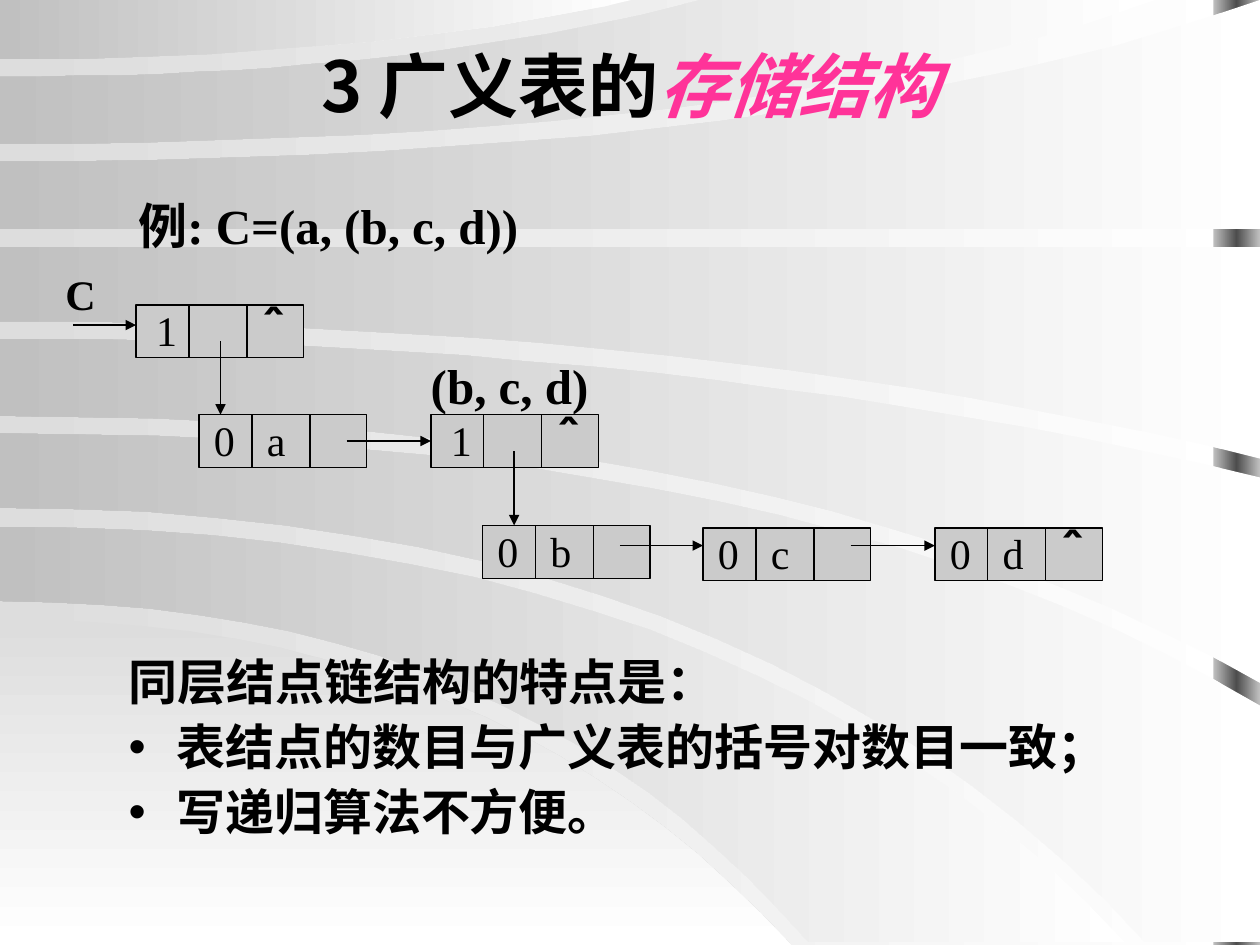
from copy import deepcopy

from lxml.etree import SubElement
from pptx import Presentation
from pptx.dml.color import RGBColor
from pptx.enum.shapes import MSO_CONNECTOR, MSO_SHAPE
from pptx.enum.text import MSO_ANCHOR, MSO_AUTO_SIZE, PP_ALIGN
from pptx.oxml.ns import qn
from pptx.util import Inches, Pt

SANS, SERIF = "Noto Sans CJK SC", "Times New Roman"
BLACK, PINK, NODE_GREY = "000000", "FF3399", "CBCBCB"
SILVER, PALE, WHITE, DARK = "C0C0C0", "DDDDDD", "FFFFFF", "4D4D4D"

TITLE = [("3 广义表的", BLACK, False), ("存储结构", PINK, True)]
BODY = ["同层结点链结构的特点是：", "表结点的数目与广义表的括号对数目一致；", "写递归算法不方便。"]
LABELS = [
    ("例: C=(a, (b, c, d))", 1, 1.5, 6.8, 28),
    ("C", 0.42, 2.08, 0.42, 24),
    ("(b, c, d)", 3.32, 2.77, 1.65, 28),
]
NODES = [
    ("1", "", True, 1.08, 2.42),
    ("0", "a", False, 1.58, 3.29),
    ("1", "", True, 3.42, 3.29),
    ("0", "b", False, 3.83, 4.17),
    ("0", "c", False, 5.58, 4.19),
    ("0", "d", True, 7.42, 4.19),
]
NODE_WIDTH, NODE_HEIGHT, DIVIDERS = 1.33, 0.42, (0.42, 0.88)
ARROWS = [
    (0.58, 2.58, 1.08, 2.58, None),
    (1.75, 2.71, 1.75, 3.29, None),
    (2.75, 3.5, 3.42, 3.5, 2),
    (4.08, 3.58, 4.08, 4.17, None),
    (4.92, 4.33, 5.58, 4.33, None),
    (6.75, 4.33, 7.42, 4.33, None),
]

CORNER = [(4.91, 3.93, 6.28, 7.5), (7.5, 3, 6.28, 7.5)]
BANDS = [
    [(4.18, 5.85, 8.93, 7.48), (4.77, 4.1, 6.42, 7.48)],
    [(3.44, 6.4, 10, 5.6), (4.03, 5.95, 9.09, 7.48)],
    [(2.69, 5.4, 10, 3.79), (3.3, 6.3, 10, 5.42)],
    [(1.96, 5, 10, 1.96), (2.55, 5.6, 10, 3.64)],
    [(1.28, 6.44, 10, 0), (1.82, 5, 10, 1.82)],
    [(0.61, 3.26, 5.56, 0), (1.14, 6.07, 9.17, 0)],
    [(0, 2.5, 5.01, 0), (0.47, 2.9, 5.01, 0)],
]
CURVE_STEPS = 20


def rgb(colour):
    return RGBColor.from_string(colour)


def set_gradient(fill, element, colours, angle=180):
    fill.gradient()
    fill.gradient_angle = angle
    stop_list = element.find(".//" + qn("a:gsLst"))
    while len(stop_list) < len(colours):
        stop_list.append(deepcopy(stop_list[0]))
    for index, (stop, colour) in enumerate(zip(fill.gradient_stops, colours)):
        stop.color.rgb = rgb(colour)
        stop.position = index / (len(colours) - 1)


def curve(start_y, control_x, end_x, end_y):
    points = []
    for step in range(CURVE_STEPS + 1):
        t = step / CURVE_STEPS
        x = 2 * t * (1 - t) * control_x + t * t * end_x
        y = start_y + t * t * (end_y - start_y)
        points.append((round(x * 100), round(y * 100)))
    return points


def add_band(shapes, edges, colours, angle=180):
    upper, lower = (curve(*edge) for edge in edges)
    outline = upper + lower[::-1]
    if upper[-1][0] > lower[-1][0]:
        outline.insert(len(upper), (upper[-1][0], lower[-1][1]))
    builder = shapes.build_freeform(*outline[0], scale=Inches(0.01))
    builder.add_line_segments(outline[1:], close=True)
    band = builder.convert_to_shape()
    band.shadow.inherit = False
    band.line.fill.background()
    set_gradient(band.fill, band.element, colours, angle)


def style(paragraph, size, name, bold=True):
    font = paragraph.font
    font.size, font.name, font.bold = Pt(size), name, bold
    font.color.rgb = rgb(BLACK)
    properties = paragraph._p.pPr.find(qn("a:defRPr"))
    SubElement(properties, qn("a:ea"), typeface=SANS)


def add_text(shapes, text, left, top, width, size, bold=True, tab=None):
    box = shapes.add_textbox(Inches(left), Inches(top), Inches(width), Inches(size / 60 + 0.1))
    box.text_frame.word_wrap = True
    paragraph = box.text_frame.paragraphs[0]
    paragraph.text = text
    if tab:
        tabs = SubElement(paragraph._p.get_or_add_pPr(), qn("a:tabLst"))
        SubElement(tabs, qn("a:tab"), pos=str(Inches(tab)), algn="l")
    style(paragraph, size, SERIF, bold)


def add_line(shapes, *ends):
    line = shapes.add_connector(MSO_CONNECTOR.STRAIGHT, *map(Inches, ends))
    line.line.color.rgb = rgb(BLACK)
    line.line.width = Pt(0.75)
    SubElement(line.element.spPr, qn("a:effectLst"))
    return line


def add_node(shapes, tag, atom, is_last, left, top):
    group = shapes.add_group_shape().shapes
    box = group.add_shape(MSO_SHAPE.RECTANGLE, Inches(left), Inches(top),
                          Inches(NODE_WIDTH), Inches(NODE_HEIGHT))
    box.shadow.inherit = False
    box.fill.solid()
    box.fill.fore_color.rgb = rgb(NODE_GREY)
    box.line.color.rgb = rgb(BLACK)
    box.line.width = Pt(0.75)
    if atom:
        add_text(group, f"{tag}\t{atom}", left + 0.02, top - 0.05, 0.84, 24, False, DIVIDERS[0])
    else:
        add_text(group, tag, left + 0.06, top - 0.05, 0.37, 24, False)
    for offset in DIVIDERS:
        add_line(group, left + offset, top, left + offset, top + NODE_HEIGHT)
    if is_last:
        add_text(shapes, "＾", left + 0.77, top - 0.05, 0.66, 32)
    return box


def place(shape, left, top, width, height):
    shape.left, shape.top, shape.width, shape.height = map(Inches, (left, top, width, height))
    shape.text_frame.auto_size = MSO_AUTO_SIZE.NONE
    shape.element.getparent().append(shape.element)


presentation = Presentation()
presentation.slide_width, presentation.slide_height = Inches(10), Inches(7.5)
slide = presentation.slides.add_slide(presentation.slide_layouts[1])
shapes = slide.shapes
set_gradient(slide.background.fill, slide.element, [WHITE, PALE])

strip = shapes.add_shape(MSO_SHAPE.RECTANGLE, Inches(9.63), 0, Inches(0.37), Inches(7.5))
strip.shadow.inherit = False
strip.line.fill.background()
set_gradient(strip.fill, strip.element, [SILVER, DARK, SILVER])
add_band(shapes, CORNER, [PALE, WHITE], 270)
for edges in BANDS:
    add_band(shapes, edges, [WHITE, SILVER])

title, body = slide.placeholders
place(title, 0.75, 0.17, 8.5, 1)
title.text_frame.vertical_anchor = MSO_ANCHOR.MIDDLE
heading = title.text_frame.paragraphs[0]
heading.alignment = PP_ALIGN.CENTER
style(heading, 40, SANS)
for text, colour, italic in TITLE:
    run = heading.add_run()
    run.text = text
    run.font.color.rgb = rgb(colour)
    run.font.italic = italic

place(body, 0.92, 5.17, 7.92, 1.75)
body.text_frame.text = "\n".join(BODY)
for index, paragraph in enumerate(body.text_frame.paragraphs):
    paragraph.line_spacing = 0.9
    paragraph.space_before = Pt(7)
    properties = paragraph._p.get_or_add_pPr()
    properties.set("marL", str(Inches(0.38)))
    properties.set("indent", str(-Inches(0.38)))
    if index == 0:
        SubElement(properties, qn("a:buNone"))
    else:
        SubElement(properties, qn("a:buChar"), char="•")
    style(paragraph, 28, SANS)

for label in LABELS:
    add_text(shapes, *label)
boxes = [add_node(shapes, *node) for node in NODES]
for *ends, target in ARROWS:
    arrow = add_line(shapes, *ends)
    SubElement(arrow.line._get_or_add_ln(), qn("a:tailEnd"), type="triangle")
    if target is not None:
        arrow.end_connect(boxes[target], 1)

presentation.save("out.pptx")
